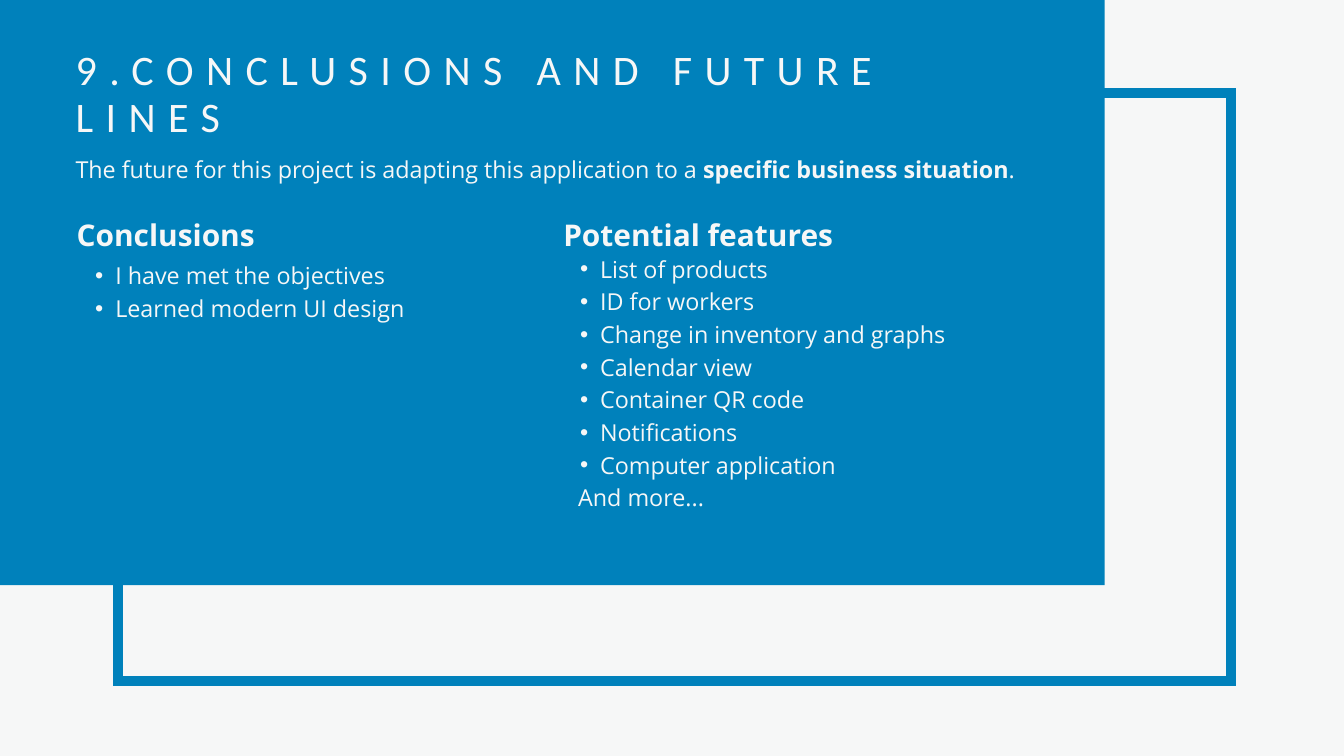
from lxml.etree import SubElement as Sub
from pptx import Presentation
from pptx.dml.color import RGBColor
from pptx.enum.shapes import MSO_SHAPE as Kind
from pptx.enum.text import MSO_ANCHOR as Anchor, MSO_AUTO_SIZE as Auto, PP_ALIGN as Align
from pptx.oxml.ns import qn
from pptx.util import Pt

BLUE, PALE = "0081BB", "F6F7F7"


def tint(fill, hue):
    fill.solid()
    fill.fore_color.rgb = RGBColor.from_string(hue)


class Deck:
    """Hold the style and the current slide, and draw each kind of element."""

    font, size, lead = "Open Sans", 25, 35

    def __init__(self, wide, high):
        self.show = Presentation()
        self.show.slide_width, self.show.slide_height = Pt(wide), Pt(high)
        self.slide = self.show.slides.add_slide(self.show.slide_layouts[4])
        tint(self.slide.background.fill, PALE)

    def rect(self, *area):
        shape = self.slide.shapes.add_shape(Kind.RECTANGLE, *map(Pt, area))
        shape.shadow.inherit = False
        node = shape.element
        node.getparent().insert(2, node)
        return shape

    def panel(self, *area):
        shape = self.rect(*area)
        tint(shape.fill, BLUE)
        shape.line.fill.background()

    def frame(self, width, *area):
        shape = self.rect(*area)
        shape.fill.background()
        tint(shape.line.fill, BLUE)
        shape.line.width = Pt(width)
        Sub(shape.line.fill._xPr, qn("a:miter"), lim="800000")

    def place(self, idx, *area):
        shape = self.slide.placeholders[idx]
        shape.left, shape.top, shape.width, shape.height = map(Pt, area)
        return self.setup(shape.text_frame)

    def setup(self, box):
        box.word_wrap, box.auto_size = True, Auto.NONE
        box.vertical_anchor = Anchor.TOP
        box.margin_left = box.margin_top = box.margin_right = box.margin_bottom = 0
        return box

    def style(self, para, size=size, lead=lead, font=font, bold=False):
        para.alignment = Align.LEFT
        para.line_spacing, para.space_before = Pt(lead), Pt(0)
        for run in para.runs:
            run.font.name, run.font.size, run.font.bold = font, Pt(size), bold
            tint(run.font.fill, PALE)

    def title(self, text, *area):
        box = self.place(0, *area)
        box.text = text
        para = box.paragraphs[0]
        self.style(para, 45, 50.4, "Calibri")
        para.runs[0].font._element.set("spc", "1330")

    def head(self, idx, text, *area):
        box = self.place(idx, *area)
        box.text = text
        self.dent(box.paragraphs[0], 0, 0)
        self.style(box.paragraphs[0], 32, 44.8, bold=True)

    def dent(self, para, left, hang, mark=None):
        props = para._p.get_or_add_pPr()
        props.set("marL", str(Pt(left)))
        props.set("indent", str(Pt(hang)))
        if mark:
            Sub(props, qn("a:buFont"), typeface="Arial")
            Sub(props, qn("a:buChar"), char=mark)
        else:
            Sub(props, qn("a:buNone"))

    def items(self, idx, lines, *area, last=None):
        box = self.place(idx, *area)
        box.text = "\n".join(lines + [last] if last else lines)
        for para in box.paragraphs:
            if para.text == last:
                self.dent(para, 19, 0)
            else:
                para.level = 1
                self.dent(para, 42.5, -21.5, "•")
            self.style(para)

    def note(self, parts, *area):
        box = self.setup(self.slide.shapes.add_textbox(*map(Pt, area)).text_frame)
        para = box.paragraphs[0]
        for text, bold in parts:
            para.add_run().text = text
        self.style(para)
        for run, (text, bold) in zip(para.runs, parts):
            run.font.bold = bold


def main():
    deck = Deck(1440, 810)
    deck.panel(0, 0, 1183.5, 627)
    deck.frame(10.5, 126.5, 99.5, 1192.5, 630)
    deck.title("9.CONCLUSIONS AND FUTURE LINES", 81, 50, 897, 101.5)
    deck.note([("The future for this project is adapting this application to a ", False),
               ("specific business situation", True), (".", False)], 81, 161, 1039, 33)
    deck.head(1, "Conclusions", 82, 225.5, 348.5, 42.5)
    deck.items(2, ["I have met the objectives", "Learned modern UI design"],
               81, 275, 1184, 68.5)
    deck.head(3, "Potential features", 603.5, 225.5, 448.5, 42.5)
    deck.items(4, ["List of products", "ID for workers", "Change in inventory and graphs",
                   "Calendar view", "Container QR code", "Notifications",
                   "Computer application"],
               600.5, 268, 448.5, 276, last="And more...")
    deck.show.save("out.pptx")


if __name__ == "__main__":
    main()
